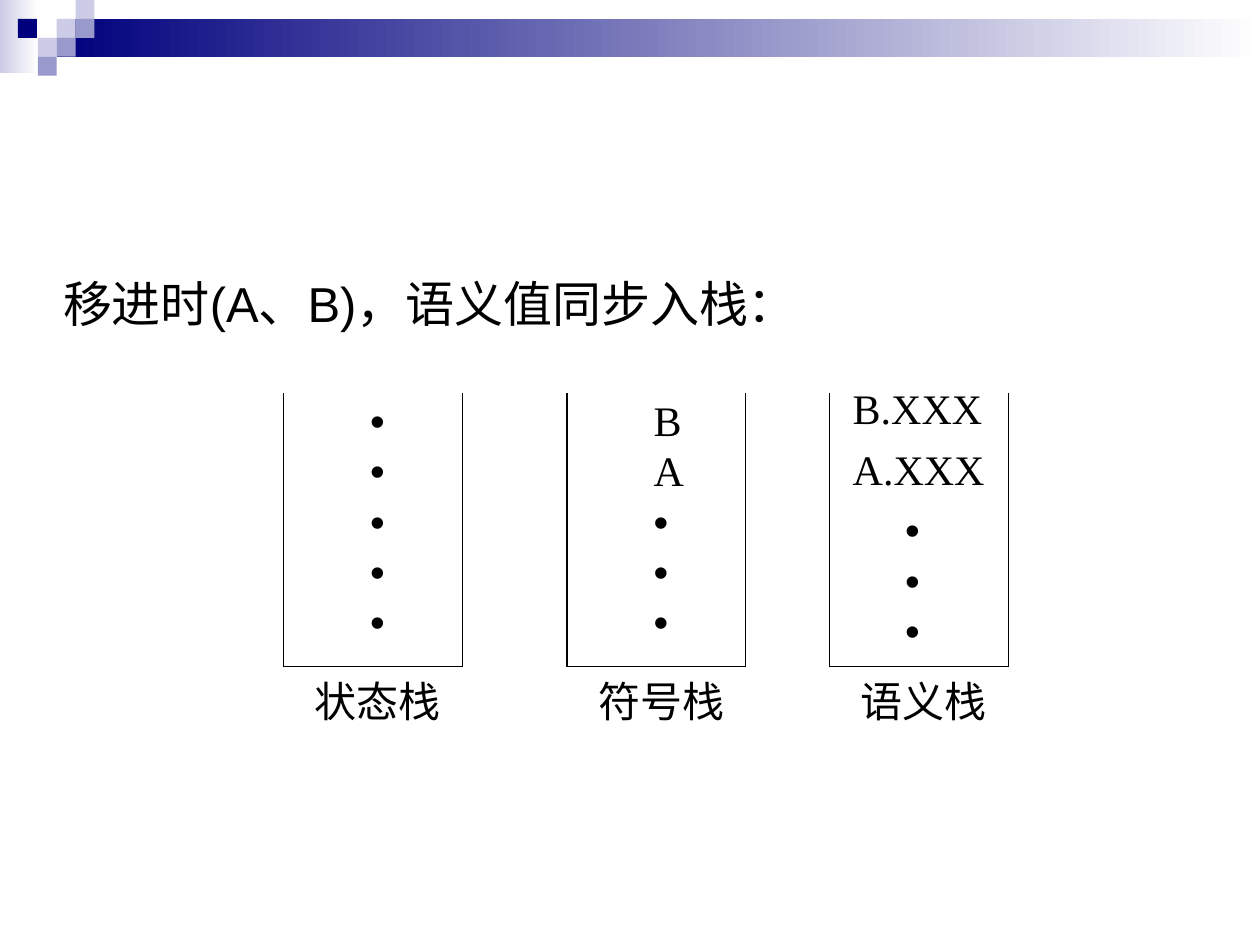
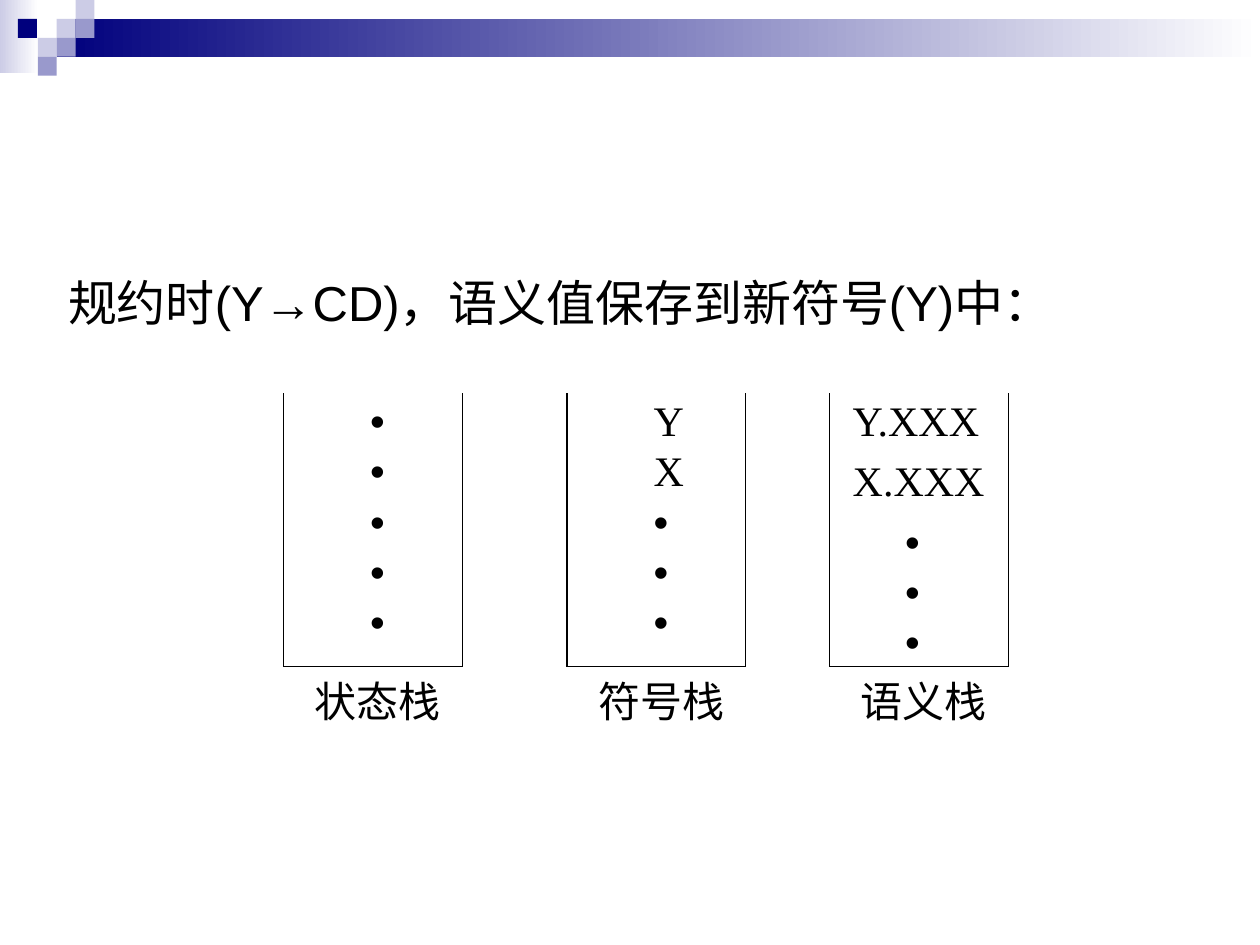
from dataclasses import dataclass

from lxml.etree import SubElement
from pptx import Presentation
from pptx.dml.color import RGBColor
from pptx.enum.shapes import MSO_CONNECTOR, MSO_SHAPE
from pptx.enum.text import MSO_ANCHOR, MSO_AUTO_SIZE, PP_ALIGN
from pptx.oxml.ns import qn
from pptx.util import Pt


@dataclass(frozen=True)
class Theme:
    ink: str = "000000"
    white: str = "FFFFFF"
    navy: str = "00007D"
    mid: str = "9999CC"
    pale: str = "CCCCE6"
    sans: str = "Arial"
    serif: str = "Times New Roman"
    title_size: float = 28
    body_size: float = 24
    line_width: float = 0.75


T = Theme()
DOT = "•"

# Each entry column is listed from the top of its stack down.
SLIDES = [
    {"title": "移进时(A、B)，语义值同步入栈：", "title_at": (28.8, 152.6),
     "symbols": ["B", "A"], "values": ["B.XXX", "A.XXX"], "values_top": 209.5},
    {"title": "规约时(Y→CD)，语义值保存到新符号(Y)中：", "title_at": (31.7, 152),
     "symbols": ["Y", "X"], "values": ["Y.XXX", "X.XXX"], "values_top": 216},
]
STACKS = [("状态栈", 162), ("符号栈", 324), ("语义栈", 474)]

# Header squares: column, row and colour on a square grid
CELL = 10.8
SQUARES = [(3, 1, T.pale), (4, 0, T.pale), (4, 1, T.mid), (2, 2, T.pale),
           (0.95, 1, T.navy), (3, 2, T.mid), (2, 3, T.mid)]

STACK_TOP, STACK_BOTTOM, STACK_WIDTH = 224.8, 381, 102.2
LABEL_INDENT = 10.8
ENTRY_TOP, ENTRY_INDENT, VALUE_INDENT = 221.8, 42.5, 6.2
VALUE_DOT_INDENT = 30
VALUE_SPACING = 1.2


def rgb(value):
    return RGBColor.from_string(value)


def add_block(shapes, x, y, w, h, color, fade=False):
    """Add a plain rectangle, fading to white on the right if asked."""
    s = shapes.add_shape(MSO_SHAPE.RECTANGLE, Pt(x), Pt(y), Pt(w), Pt(h))
    s.shadow.inherit = False
    s.line.fill.background()
    if fade:
        s.fill.gradient()
        s.fill.gradient_angle = 0
        for stop, c in zip(s.fill.gradient_stops, (color, T.white)):
            stop.color.rgb = rgb(c)
    else:
        s.fill.solid()
        s.fill.fore_color.rgb = rgb(color)
    return s


def add_header(slide, layout):
    """Draw the header band and place it in the layout shared by all slides."""
    group = slide.shapes.add_group_shape()
    add_block(group.shapes, 0, 0, 22, 41.8, T.pale, fade=True)
    add_block(group.shapes, 3 * CELL, CELL, 720 - 3 * CELL, 2 * CELL, T.navy, fade=True)
    for col, row, color in SQUARES:
        add_block(group.shapes, col * CELL, row * CELL, CELL, CELL, color)
    layout.shapes.element.insert(2, group.element)


def add_run(p, text, font, size):
    r = p.add_run()
    r.text = text
    r.font.name = font
    r.font.size = Pt(size)
    r.font.color.rgb = rgb(T.ink)


def add_lines(shapes, x, y, w, h, lines, dot_indent=0, spaced=0):
    """Add one paragraph per line; the first `spaced` ones get wider spacing."""
    tf = shapes.add_textbox(Pt(x), Pt(y), Pt(w), Pt(h)).text_frame
    tf.word_wrap = True
    for i, text in enumerate(lines):
        p = tf.paragraphs[0] if i == 0 else tf.add_paragraph()
        if i < spaced:
            p.line_spacing = VALUE_SPACING
        if text == DOT and dot_indent:
            p._p.get_or_add_pPr().set("marL", str(Pt(dot_indent)))
        add_run(p, text, T.sans if text == DOT else T.serif, T.body_size)


def add_stack(slide, label, x):
    """Draw an open-topped container with its name below."""
    shapes = slide.shapes.add_group_shape().shapes
    right = x + STACK_WIDTH
    corners = [(x, STACK_TOP), (x, STACK_BOTTOM), (right, STACK_BOTTOM), (right, STACK_TOP)]
    for start, end in zip(corners, corners[1:]):
        c = shapes.add_connector(MSO_CONNECTOR.STRAIGHT, *map(Pt, start + end))
        c.line.color.rgb = rgb(T.ink)
        c.line.width = Pt(T.line_width)
        SubElement(c.element.spPr, qn("a:effectLst"))
    add_lines(shapes, x + LABEL_INDENT, STACK_BOTTOM + 1.3, 90, 36, [label])


def set_title(slide, text, at):
    s = slide.shapes.title
    s.left, s.top = map(Pt, at)
    s.width, s.height = Pt(585), Pt(41)
    tf = s.text_frame
    tf.word_wrap = True
    tf.auto_size = MSO_AUTO_SIZE.NONE
    tf.vertical_anchor = MSO_ANCHOR.TOP
    p = tf.paragraphs[0]
    p.alignment = PP_ALIGN.LEFT
    add_run(p, text, T.sans, T.title_size)


def add_entries(slide, content):
    state_x, symbol_x, value_x = (x for _, x in STACKS)
    dots = [DOT] * 3
    columns = [(state_x, [DOT] * 5), (symbol_x, content["symbols"] + dots)]
    for x, lines in columns:
        add_lines(slide.shapes, x + ENTRY_INDENT, ENTRY_TOP, 36, 151, lines)
    add_lines(slide.shapes, value_x + VALUE_INDENT, content["values_top"], 95, 168.5,
              content["values"] + dots, VALUE_DOT_INDENT, spaced=3)


def main():
    prs = Presentation()
    prs.slide_width, prs.slide_height = Pt(720), Pt(540)
    layout = prs.slide_layouts[5]
    for i, content in enumerate(SLIDES):
        slide = prs.slides.add_slide(layout)
        if i == 0:
            add_header(slide, layout)
        set_title(slide, content["title"], content["title_at"])
        for label, x in STACKS:
            add_stack(slide, label, x)
        add_entries(slide, content)
    prs.save("out.pptx")


if __name__ == "__main__":
    main()
